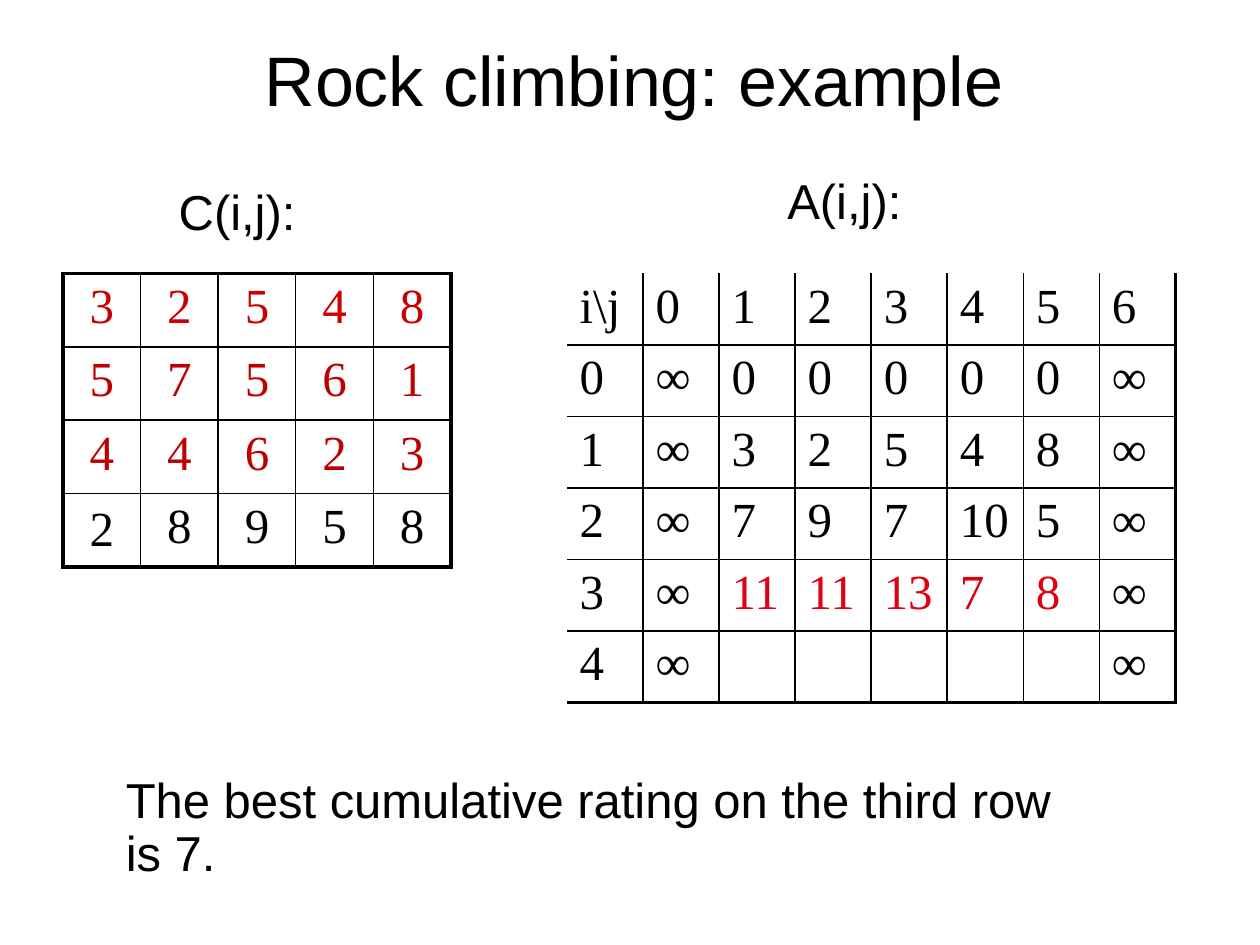
from dataclasses import dataclass

from lxml import etree
from pptx import Presentation
from pptx.dml.color import RGBColor
from pptx.enum.text import MSO_ANCHOR, MSO_AUTO_SIZE, PP_ALIGN
from pptx.oxml.ns import qn
from pptx.util import Inches, Pt

CENTER = PP_ALIGN.CENTER
LEFT = PP_ALIGN.LEFT
MIDDLE = MSO_ANCHOR.MIDDLE
NO_AUTOFIT = MSO_AUTO_SIZE.NONE
FIT_SHAPE = MSO_AUTO_SIZE.SHAPE_TO_FIT_TEXT
TITLE_ONLY = 5


@dataclass(frozen=True)
class Theme:
    black: str = "000000"
    white: str = "FFFFFF"
    first_row_red: str = "CC0000"
    used_row_red: str = "C00000"
    result_red: str = "DD0111"
    text_font: str = "Arial"
    table_font: str = "Times New Roman"
    title_size: float = 40
    text_size: float = 28
    thin: float = 1
    thick: float = 2.25


THEME = Theme()

RATINGS = [
    "3 2 5 4 8".split(),
    "5 7 5 6 1".split(),
    "4 4 6 2 3".split(),
    "2 8 9 5 8".split(),
]
RATING_ROW_COLORS = [
    THEME.first_row_red, THEME.used_row_red, THEME.used_row_red, THEME.black,
]
CUMULATIVE = [
    ["i\\j", "0", "1", "2", "3", "4", "5", "6"],
    ["0", "∞", "0", "0", "0", "0", "0", "∞"],
    ["1", "∞", "3", "2", "5", "4", "8", "∞"],
    ["2", "∞", "7", "9", "7", "10", "5", "∞"],
    ["3", "∞", "11", "11", "13", "7", "8", "∞"],
    ["4", "∞", "", "", "", "", "", "∞"],
]
RESULT_ROW = 4
RESULT_COLUMNS = range(2, 7)


def format_text(text_frame, font_name, size, color, alignment=LEFT):
    for paragraph in text_frame.paragraphs:
        paragraph.alignment = alignment
        for run in paragraph.runs:
            run.font.name = font_name
            run.font.size = Pt(size)
            run.font.color.rgb = RGBColor.from_string(color)


def add_title(slide, box, text):
    title = slide.shapes.title
    title.left, title.top, title.width, title.height = map(Inches, box)
    text_frame = title.text_frame
    text_frame.text = text
    text_frame.auto_size = NO_AUTOFIT
    text_frame.vertical_anchor = MIDDLE
    format_text(text_frame, THEME.text_font, THEME.title_size, THEME.black, CENTER)


def add_label(slide, box, text, wrap=False):
    text_frame = slide.shapes.add_textbox(*map(Inches, box)).text_frame
    text_frame.text = text
    text_frame.word_wrap = wrap
    text_frame.auto_size = FIT_SHAPE
    text_frame.paragraphs[0].line_spacing = 0.9
    format_text(text_frame, THEME.text_font, THEME.text_size, THEME.black)


def set_border(cell, side, width):
    properties = cell._tc.get_or_add_tcPr()
    line = etree.SubElement(properties, qn(f"a:ln{side}"), w=str(Pt(width)))
    if width:
        fill = etree.SubElement(line, qn("a:solidFill"))
        etree.SubElement(fill, qn("a:srgbClr"), val=THEME.black)
    else:
        etree.SubElement(line, qn("a:noFill"))


def add_grid(slide, box, values, outline, color_at, alignment=LEFT):
    row_count, column_count = len(values), len(values[0])
    frame = slide.shapes.add_table(row_count, column_count, *map(Inches, box))
    table = frame.table
    table.first_row = False
    table.horz_banding = False
    for row, row_values in enumerate(values):
        for column, value in enumerate(row_values):
            cell = table.cell(row, column)
            cell.text = value
            format_text(cell.text_frame, THEME.table_font, THEME.text_size,
                        color_at(row, column), alignment)
            on_edge = {
                "L": column == 0,
                "R": column == column_count - 1,
                "T": row == 0,
                "B": row == row_count - 1,
            }
            for side, is_outer in on_edge.items():
                set_border(cell, side, outline[side] if is_outer else THEME.thin)
            cell.fill.background()
    return table


def add_ratings(slide, box):
    outline = dict.fromkeys("LRTB", THEME.thick)
    table = add_grid(slide, box, RATINGS, outline,
                     lambda row, column: RATING_ROW_COLORS[row], CENTER)
    table.cell(len(RATINGS) - 1, 0).vertical_anchor = MIDDLE


def cumulative_color(row, column):
    is_result = row == RESULT_ROW and column in RESULT_COLUMNS
    return THEME.result_red if is_result else THEME.black


def add_cumulative(slide, box):
    outline = {"L": 0, "R": THEME.thick, "T": 0, "B": THEME.thick}
    add_grid(slide, box, CUMULATIVE, outline, cumulative_color)


def main():
    presentation = Presentation()
    presentation.slide_width = Inches(10)
    presentation.slide_height = Inches(7.5)
    slide = presentation.slides.add_slide(presentation.slide_layouts[TITLE_ONLY])
    slide.background.fill.solid()
    slide.background.fill.fore_color.rgb = RGBColor.from_string(THEME.white)

    add_title(slide, (0.78, 0, 8.5, 1.25), "Rock climbing: example")
    add_ratings(slide, (0.5, 2.17, 3.08, 2.33))
    add_label(slide, (1.32, 1.44, 1.14, 0.52), "C(i,j):")
    add_label(slide, (6.15, 1.36, 1.16, 0.52), "A(i,j):")
    add_label(slide, (0.9, 6.11, 7.69, 0.94),
              "The best cumulative rating on the third row is 7.", wrap=True)
    add_cumulative(slide, (4.5, 2.17, 4.83, 3.4))
    presentation.save("out.pptx")


if __name__ == "__main__":
    main()
